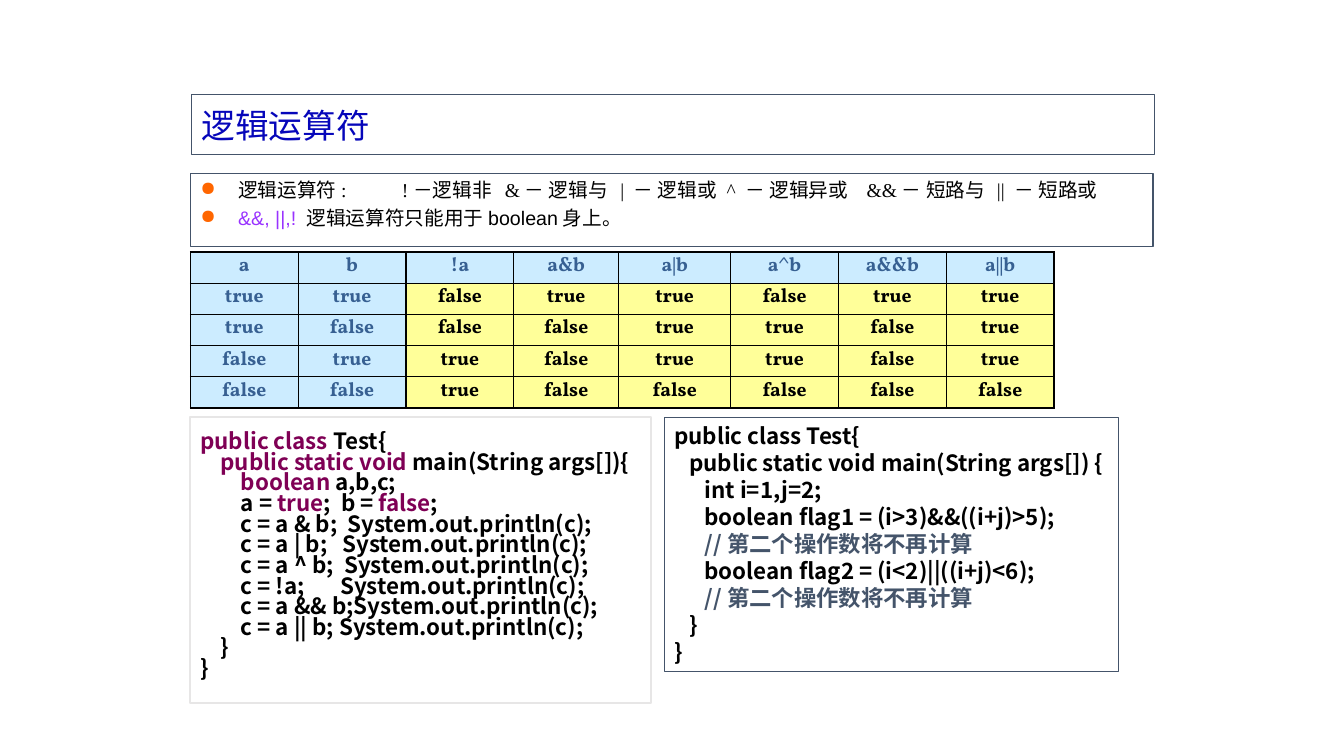
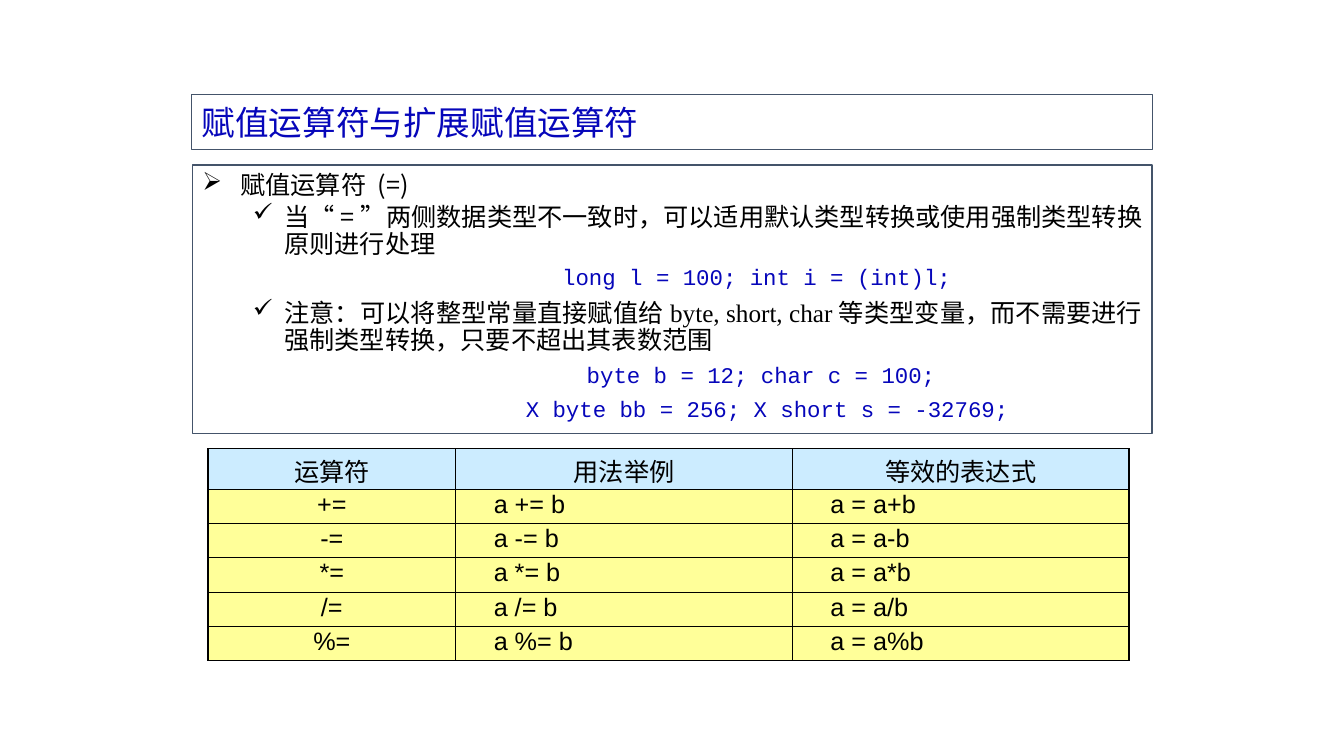
import pptx
import pptx.util
import pptx.dml.color
import pptx.enum.shapes
import pptx.enum.text
import pptx.oxml
import pptx.oxml.ns

Pt = pptx.util.Pt
ALIGN = pptx.enum.text.PP_ALIGN
ANCHOR = pptx.enum.text.MSO_ANCHOR
NS = pptx.oxml.ns.nsdecls("a")

HUES = {
    "ink": "000000", "slate": "44546A", "blue": "0606BA", "steel": "376092",
    "key": "7F0055", "violet": "9933FF", "dot": "FF6600", "pale": "E7E6E6",
    "head": "CCECFF", "body": "FFFF99", "white": "FFFFFF",
}
SERIF, SANS, MONO = "Times New Roman", "Arial", "Courier New"
HAN, CODE, TITLE, BOOK = "Noto Sans CJK SC", "Noto Sans CJK KR", "Calibri", "Vollkorn"

LOGIC = [
    "a b !a a&b a|b a^b a&&b a||b",
    "true true false true true false true true",
    "true false false false true true false true",
    "false true true false true true false true",
    "false false true false false false false false",
]
DEMO = """~public class ~Test{
~    public static void ~main(String args[]){
~        boolean ~a,b,c;
        a = ~true~;  b = ~false~;
        c = a & b;  System.out.println(c);
        c = a | b;   System.out.println(c);
        c = a ^ b;  System.out.println(c);
        c = !a;       System.out.println(c);
        c = a && b;System.out.println(c);
        c = a || b; System.out.println(c);
    }
}"""
SHORT = """public class Test{
   public static void main(String args[]) {
      int i=1,j=2;
      boolean flag1 = (i>3)&&((i+j)>5);
      ~//第二个操作数将不再计算~
      boolean flag2 = (i<2)||((i+j)<6);
      ~//第二个操作数将不再计算~
   }
}"""


def rgb(hue):
    return pptx.dml.color.RGBColor.from_string(HUES[hue])


def style(font, name=None, size=None, hue=None, bold=None):
    if name:
        font.name = name
    if size:
        font.size = Pt(size)
    if hue:
        font.color.rgb = rgb(hue)
    if bold is not None:
        font.bold = bold


def space(par, line=None, before=0, align=ALIGN.LEFT):
    par.alignment = align
    par.space_before = Pt(before)
    if line:
        par.line_spacing = line


def write(par, text, base, alt=None):
    """Fill a paragraph; parts between tildes take the alt style."""
    style(par.font, **base)
    for i, part in enumerate(text.split("~")):
        if part:
            run = par.add_run()
            run.text = part
            if i % 2:
                style(run.font, **alt)


def indent(par, left, hang=0, mark=None, hue=None, tabs=()):
    props = par._p.get_or_add_pPr()
    props.set("marL", str(Pt(left)))
    props.set("indent", str(-Pt(hang)))
    parts = []
    if hue:
        parts.append(f'<a:buClr {NS}><a:srgbClr val="{HUES[hue]}"/></a:buClr>')
    if mark:
        parts.append(f'<a:buChar {NS} char="{mark}"/>')
    if tabs:
        stops = "".join(f'<a:tab pos="{Pt(t)}" algn="l"/>' for t in tabs)
        parts.append(f"<a:tabLst {NS}>{stops}</a:tabLst>")
    for part in parts:
        props.append(pptx.oxml.parse_xml(part))


def frame(slide, box, hue="slate", width=0.75, fill=None, anchor=ANCHOR.TOP):
    """Add an outlined box and return its text frame."""
    shape = slide.shapes.add_shape(
        pptx.enum.shapes.MSO_SHAPE.RECTANGLE, *map(Pt, box))
    shape.shadow.inherit = False
    if fill:
        shape.fill.solid()
        shape.fill.fore_color.rgb = rgb(fill)
    else:
        shape.fill.background()
    shape.line.color.rgb = rgb(hue)
    shape.line.width = Pt(width)
    text = shape.text_frame
    text.word_wrap = True
    text.vertical_anchor = anchor
    return text


def pars(text, count):
    return [text.paragraphs[0]] + [text.add_paragraph() for _ in range(count - 1)]


def title(slide, box, words):
    par = frame(slide, box, anchor=ANCHOR.MIDDLE).paragraphs[0]
    space(par)
    write(par, words, dict(name=TITLE, size=24, hue="blue"))


def code(text, lines, pitch, accent):
    lines = lines.split("\n")
    for par, line in zip(pars(text, len(lines)), lines):
        space(par, Pt(pitch))
        write(par, line, dict(name=CODE, size=16, hue="ink", bold=True),
              dict(hue=accent))


def grid(slide, box, cols, rows):
    shape = slide.shapes.add_table(len(rows), len(cols), *map(Pt, box))
    table = shape.table
    table.first_row = table.horz_banding = False
    for col, width in zip(table.columns, cols):
        col.width = Pt(width)
    for row, height in zip(table.rows, rows):
        row.height = Pt(height)
    return table


def fill_cell(cell, words, fill, look, line, align=ALIGN.CENTER,
              left=7.2, top=3.6, bottom=3.6):
    props = cell._tc.get_or_add_tcPr()
    for side in "LRTB":
        props.append(pptx.oxml.parse_xml(
            f'<a:ln{side} {NS} w="{Pt(1)}"><a:solidFill>'
            f'<a:srgbClr val="{HUES["ink"]}"/></a:solidFill></a:ln{side}>'))
    cell.fill.solid()
    cell.fill.fore_color.rgb = rgb(fill)
    cell.vertical_anchor = ANCHOR.MIDDLE
    cell.margin_left = Pt(left)
    cell.margin_top, cell.margin_bottom = Pt(top), Pt(bottom)
    par = cell.text_frame.paragraphs[0]
    space(par, line, align=align)
    write(par, words, look)


def rules(slide, box):
    marks = "!－逻辑非 &－ 逻辑与 | － 逻辑或 ^ － 逻辑异或 &&－ 短路与 || － 短路或"
    items = marks.replace(" &", "\t&").replace(" |", "\t|").replace(" ^", "\t^")
    lines = [
        ("逻辑运算符:\t" + items, SERIF, (144, 217.5, 300, 376, 476, 569)),
        ("~&&, ||,! ~逻辑运算符只能用于boolean身上。", SANS, ()),
    ]
    text = frame(slide, box, width=1)
    for i, (par, (words, name, tabs)) in enumerate(zip(pars(text, 2), lines)):
        space(par, Pt(16.5), before=3.5 if i else 0)
        indent(par, 27, 27, "●", "dot", tabs)
        write(par, words, dict(name=name, size=14, hue="ink"), dict(hue="violet"))


def truth(slide, box):
    table = grid(slide, box, [77, 77, 77, 75, 80, 77, 77, 77], [22.3] * 5)
    for r, row in enumerate(LOGIC):
        for c, word in enumerate(row.split()):
            given = r == 0 or c < 2
            look = dict(name=BOOK, size=14, bold=True,
                        hue="steel" if given else "ink")
            fill_cell(table.cell(r, c), word, "head" if given else "body",
                      look, Pt(15), top=5, bottom=2)


def notes(slide, box):
    text = frame(slide, box, width=1)
    text.margin_top = Pt(5)
    plain = dict(name=HAN, size=18, hue="ink")
    serif = dict(name=SERIF)
    mono = dict(name=MONO, size=16, hue="blue")
    lines = [
        ("~赋值~运算符 (=)", 0, 27, 27, "➢"),
        ("当~“~=~”~两侧数据类型不一致时，可以适用默认类型转换或使用强制类型转换原则进行处理",
         4, 58.5, 22.5, "✓"),
        ("long l = 100; int i = (int)l;", 5, 257, 0, None),
        ("注意：可以将整型常量直接赋值给~byte, short, char~等类型变量，"
         "而不需要进行强制类型转换，只要不超出其表数范围", 8, 58.5, 22.5, "✓"),
        ("byte b = 12; char c = 100;", 7, 274.5, 0, None),
        ("X byte bb = 256; X short s = -32769;", 7, 231, 0, None),
    ]
    for par, (words, before, left, hang, mark) in zip(pars(text, len(lines)), lines):
        space(par, Pt(19.3 if mark else 17), before, ALIGN.JUSTIFY)
        indent(par, left, hang, mark)
        write(par, words, plain if mark else mono, serif)


def assign(slide, box):
    table = grid(slide, box, [177, 240.5, 240.5], [29] + [24.5] * 5)
    look = dict(name=HAN, size=18, hue="ink")
    for c, word in enumerate(["运算符", "用法举例", "等效的表达式"]):
        fill_cell(table.cell(0, c), word, "head", look, Pt(20), top=8, bottom=0)
    look = dict(look, name=SANS)
    for r, sign in enumerate("+-*/%", 1):
        for c, word in enumerate([f"{sign}=", f"a {sign}= b", f"a = a{sign}b"]):
            fill_cell(table.cell(r, c), word, "body", look, 0.8,
                      align=ALIGN.LEFT if c else ALIGN.CENTER,
                      left=27.2 if c else 7.2)


def logic(slide):
    rules(slide, (136, 124, 687.5, 52))
    truth(slide, (136, 180, 617, 111.5))
    title(slide, (137, 67.5, 688, 43))
    demo = frame(slide, (136, 298, 329, 204.5), "pale", 1.5, "white", ANCHOR.MIDDLE)
    demo.margin_bottom = Pt(8)
    code(demo, DEMO, 14.75, "key")
    code(frame(slide, (474.5, 298, 324.5, 181.5), fill="white"), SHORT, 19.3, "slate")


def main():
    deck = pptx.Presentation()
    deck.slide_width, deck.slide_height = Pt(960), Pt(540)
    blank = deck.slide_layouts[6]

    slide = deck.slides.add_slide(blank)
    rules(slide, (136, 124, 687.5, 52))
    truth(slide, (136, 180, 617, 111.5))
    title(slide, (137, 67.5, 688, 43), "逻辑运算符")
    demo = frame(slide, (136, 298, 329, 204.5), "pale", 1.5, "white", ANCHOR.MIDDLE)
    demo.margin_bottom = Pt(8)
    code(demo, DEMO, 14.75, "key")
    code(frame(slide, (474.5, 298, 324.5, 181.5), fill="white"), SHORT, 19.3, "slate")

    slide = deck.slides.add_slide(blank)
    notes(slide, (137.5, 118, 685.5, 191.5))
    title(slide, (137, 67.5, 686, 39.5), "赋值运算符与扩展赋值运算符")
    assign(slide, (148.5, 320.5, 658, 151.5))
    deck.save("out.pptx")


if __name__ == "__main__":
    main()
